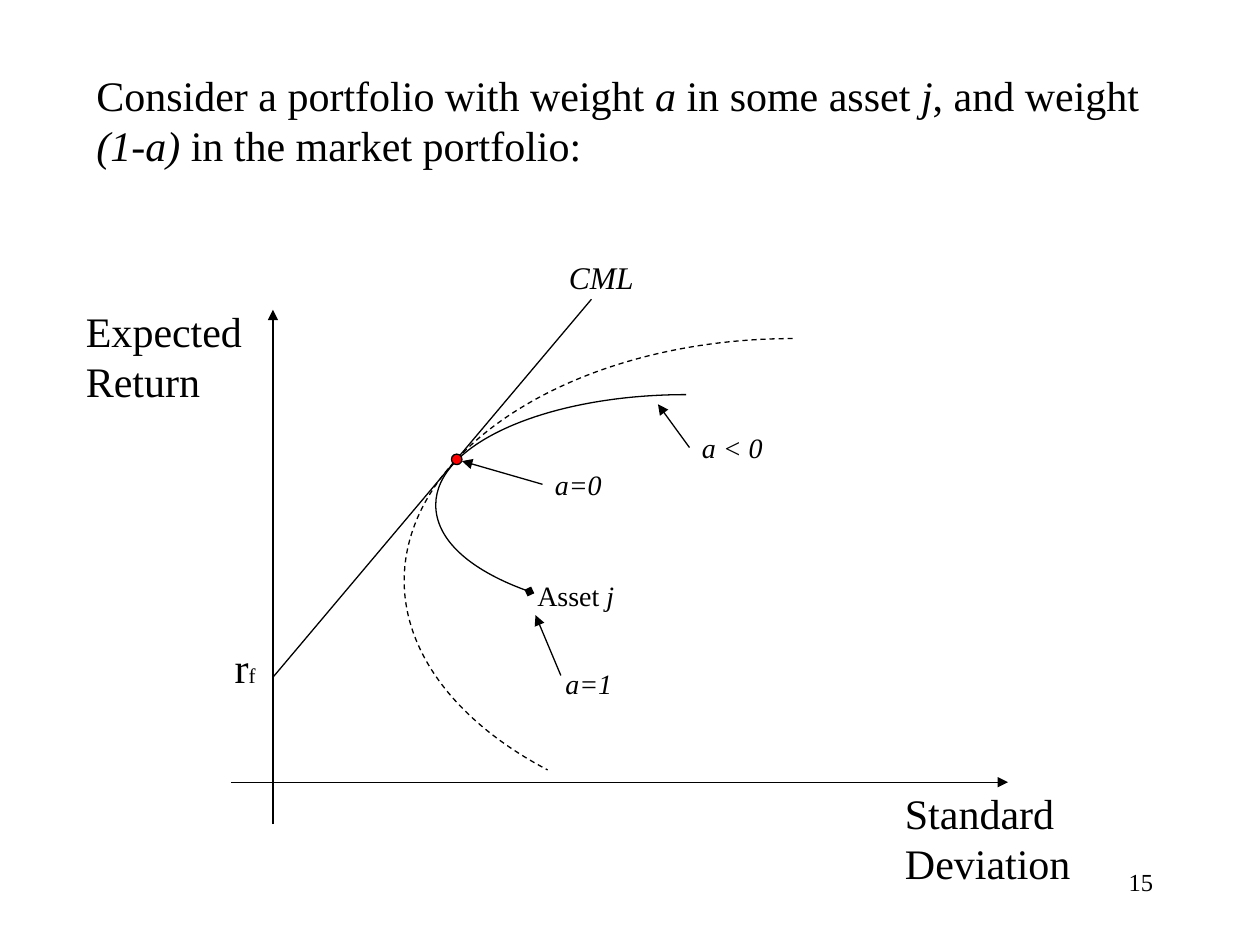
"""Build the slide showing portfolios of asset j and the market against the CML."""
from dataclasses import dataclass
from typing import NamedTuple, Optional

from lxml import etree
from pptx import Presentation
from pptx import util as u
from pptx.dml.color import RGBColor
from pptx.enum import dml, shapes, text
from pptx.oxml.ns import qn

BLACK, RED = "000000", "FF0000"
FONT = "Times New Roman"


class Run(NamedTuple):
    words: str
    size: float = 24
    italic: bool = False


@dataclass
class Label:
    frame: tuple
    paragraphs: list
    spacing: dict
    align: Optional[text.PP_ALIGN] = None


@dataclass
class Segment:
    start: tuple
    end: tuple
    arrow: bool = True
    source: Optional[str] = None


@dataclass
class Curve:
    points: list
    dashed: bool = False
    tail: Optional[str] = None


LABELS = {
    "number": Label((516, 492, 150, 36), [[Run("15", 14)]], {}, text.PP_ALIGN.RIGHT),
    "return": Label((42, 171, 114, 65), [[Run("Expected Return")]], {}),
    "cml": Label((318, 144, 61, 29), [[Run("CML", 18, True)]], {}),
    "risk free": Label((127, 363, 36, 36), [[Run("r"), Run("f", 12)]], {}),
    "deviation": Label((510, 459, 120, 50), [[Run("Standard")], [Run("Deviation")]],
                       {"line_spacing": 0.5, "space_before": u.Pt(14)}),
    "asset": Label((300, 327, 75, 26.5), [[Run("Asset ", 16), Run("j", 16, True)]], {}),
    "title": Label((48, 36, 618, 65.5), [[
        Run("Consider a portfolio with weight "), Run("a ", italic=True),
        Run("in some asset "), Run("j", italic=True), Run(", and weight "),
        Run("(1-a) ", italic=True), Run("in the market portfolio:")]],
        {"space_after": u.Pt(12)}),
    "all asset": Label((316, 377.5, 43, 26.5), [[Run("a=1", 16, True)]], {}),
    "all market": Label((310, 263.5, 43, 26.5), [[Run("a=0", 16, True)]], {}),
    "short asset": Label((394, 242.5, 52.5, 26.5), [[Run("a < 0", 16, True)]], {}),
}

SEGMENTS = [
    Segment((156, 471), (156, 177)),
    Segment((132, 447), (576, 447)),
    Segment((156, 387), (338, 171), arrow=False),
    Segment((320.5, 386), (306, 351.5)),
    Segment((310, 277), (264, 263.5), source="all market"),
    Segment((394, 256), (376, 231), source="short asset"),
]

CURVES = [
    Curve([(453, 193.5), (330.5, 193.5), (231, 255.5), (231, 332),
           (231, 373.5), (261.5, 413), (313, 440)], dashed=True),
    Curve([(392, 225.5), (313, 225.5), (249, 253.5), (249, 288.5),
           (249, 308), (268.5, 326), (302.5, 338)], tail="diamond"),
]


def rgb(value: str) -> RGBColor:
    """Turn a hex string into a colour."""
    return RGBColor.from_string(value)


def points(values: tuple) -> list:
    """Convert numbers in points to lengths."""
    return [u.Pt(value) for value in values]


def apply(target, values: dict) -> None:
    """Set each named attribute on the target."""
    for name, value in values.items():
        setattr(target, name, value)


def style_line(line, tail: Optional[str] = None) -> None:
    """Give a line its thin black stroke and an optional end mark."""
    line.fill.solid()
    line.fill.fore_color.rgb = rgb(BLACK)
    line.width = u.Pt(0.75)
    if tail:
        etree.SubElement(line._get_or_add_ln(), qn("a:tailEnd"), type=tail)


def add_label(page, label: Label):
    """Add a text box and return it."""
    box = page.shapes.add_textbox(*points(label.frame))
    apply(box.text_frame, {"word_wrap": True, "vertical_anchor": text.MSO_ANCHOR.TOP})
    for index, runs in enumerate(label.paragraphs):
        frame = box.text_frame
        para = frame.add_paragraph() if index else frame.paragraphs[0]
        apply(para, {"alignment": label.align, **label.spacing})
        if not index:
            para.space_before = u.Pt(0)
        for run in runs:
            span = para.add_run()
            span.text = run.words
            apply(span.font, {"name": FONT, "size": u.Pt(run.size), "italic": run.italic})
            span.font.color.rgb = rgb(BLACK)
    return box


def add_segment(page, segment: Segment, boxes: dict) -> None:
    """Add a straight connector, joined to its label where it has one."""
    line = page.shapes.add_connector(
        shapes.MSO_CONNECTOR.STRAIGHT, *points(segment.start + segment.end))
    if segment.source:
        line.begin_connect(boxes[segment.source], 1)
    style_line(line.line, "triangle" if segment.arrow else None)
    etree.SubElement(line._element.spPr, qn("a:effectLst"))


def add_curve(page, curve: Curve) -> None:
    """Add an open outline whose points form cubic curves."""
    start, *rest = [points(point) for point in curve.points]
    builder = page.shapes.build_freeform(*start)
    builder.add_line_segments(rest, close=False)
    shape = builder.convert_to_shape()
    steps = list(shape._element.iter(qn("a:lnTo")))
    outline = steps[0].getparent()
    for first in range(0, len(steps), 3):
        cubic = etree.SubElement(outline, qn("a:cubicBezTo"))
        for step in steps[first:first + 3]:
            cubic.append(step[0])
            outline.remove(step)
    shape.shadow.inherit = False
    shape.fill.background()
    if curve.dashed:
        shape.line.dash_style = dml.MSO_LINE.DASH
    style_line(shape.line, curve.tail)


def add_market_dot(page) -> None:
    """Mark the market portfolio where the curves touch the CML."""
    dot = page.shapes.add_shape(shapes.MSO_SHAPE.OVAL, *points((258, 259.5, 6, 6)))
    dot.shadow.inherit = False
    dot.fill.solid()
    dot.fill.fore_color.rgb = rgb(RED)
    style_line(dot.line)


def main() -> None:
    """Build and save the deck."""
    deck = Presentation()
    apply(deck, {"slide_width": u.Pt(720), "slide_height": u.Pt(540)})
    page = deck.slides.add_slide(deck.slide_layouts[6])
    boxes = {name: add_label(page, label) for name, label in LABELS.items()}
    for curve in CURVES:
        add_curve(page, curve)
    for segment in SEGMENTS:
        add_segment(page, segment, boxes)
    add_market_dot(page)
    deck.save("out.pptx")


if __name__ == "__main__":
    main()
